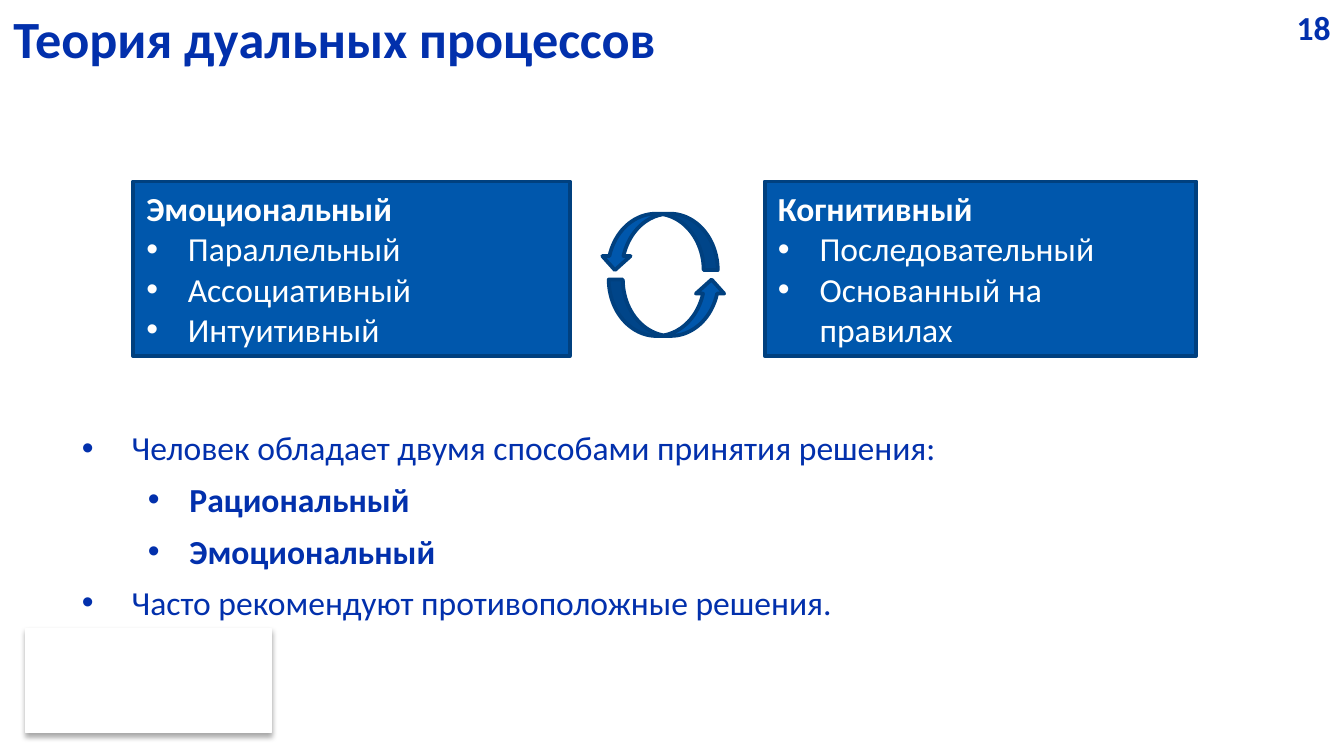
from lxml import etree
from pptx import Presentation
from pptx.dml.color import RGBColor
from pptx.enum import shapes, text
from pptx.oxml import ns, parse_xml
from pptx.util import Inches, Pt

COLORS = {"ink": "0230AC", "panel": "0057AC", "edge": "00407F", "white": "FFFFFF"}
FONT = "Calibri"


def rgb(name):
    return RGBColor.from_string(COLORS[name])


def place(shape, left, top, width, height):
    shape.left, shape.top = Inches(left), Inches(top)
    shape.width, shape.height = Inches(width), Inches(height)


def add_bullet(para, margin, hanging):
    """Give a paragraph a round bullet and a hanging indent in inches."""
    props = para._p.get_or_add_pPr()
    props.set("marL", str(Inches(margin)))
    props.set("indent", str(-Inches(hanging)))
    etree.SubElement(props, ns.qn("a:buFont")).set("typeface", "Arial")
    etree.SubElement(props, ns.qn("a:buChar")).set("char", "•")


def style(para, color, size=18, bold=False, align=text.PP_ALIGN.LEFT):
    para.alignment = align
    font = para.font
    font.name, font.size, font.bold = FONT, Pt(size), bold
    font.color.rgb = rgb(color)


def open_frame(shape):
    """Return the shape's text frame, top-anchored, wrapped and unscaled."""
    frame = shape.text_frame
    frame.word_wrap = True
    frame.auto_size = text.MSO_AUTO_SIZE.NONE
    frame.vertical_anchor = text.MSO_ANCHOR.TOP
    return frame


def add_filled(page, kind, box, fill, line, line_width):
    shape = page.shapes.add_shape(kind, *(Inches(length) for length in box))
    shape.shadow.inherit = False
    shape.fill.solid()
    shape.fill.fore_color.rgb = rgb(fill)
    shape.line.color.rgb = rgb(line)
    shape.line.width = Pt(line_width)
    return shape


def add_corner_card(page, box):
    """Put a white card with a soft shadow behind everything else."""
    card = add_filled(page, shapes.MSO_SHAPE.RECTANGLE, box, "white", "white", 0.75)
    effects = card._element.spPr.find(ns.qn("a:effectLst"))
    effects.append(parse_xml(
        f'<a:outerShdw {ns.nsdecls("a")} blurRad="{Pt(3.1)}" dist="{Pt(1.8)}" '
        'dir="5400000" rotWithShape="0"><a:srgbClr val="000000">'
        '<a:alpha val="35000"/></a:srgbClr></a:outerShdw>'))
    page.shapes._spTree.insert(2, card._element)


def fill_title(page, title, box):
    place(page.shapes.title, *box)
    frame = open_frame(page.shapes.title)
    frame.text = title
    style(frame.paragraphs[0], "ink", 28, bold=True)


def add_page_number(page, number, box):
    label = page.shapes.add_textbox(*(Inches(length) for length in box))
    frame = open_frame(label)
    frame.text = number
    style(frame.paragraphs[0], "ink", bold=True, align=text.PP_ALIGN.RIGHT)


def fill_body(page, items, box):
    body = page.placeholders[1]
    place(body, *box)
    frame = open_frame(body)
    frame.text = "\n".join(words for words, _ in items)
    for index, (para, (_, level)) in enumerate(zip(frame.paragraphs, items)):
        para.level = level
        add_bullet(para, *((0.81, 0.31) if level else (0.38, 0.37)))
        para.space_before = Pt(6 if index else 0)
        style(para, "ink", bold=level == 1)


def add_panel(page, heading, traits, box):
    panel = add_filled(page, shapes.MSO_SHAPE.RECTANGLE, box, "panel", "edge", 2)
    frame = open_frame(panel)
    frame.margin_right = Inches(0.2)
    frame.text = "\n".join([heading, *traits])
    for index, para in enumerate(frame.paragraphs):
        if index:
            add_bullet(para, 0.31, 0.31)
        style(para, "white", bold=index == 0)


def add_cycle(page, box):
    """Draw two opposite curved arrows, in the box's corners."""
    left, top, width, height = box
    arrow_width, arrow_height = 0.87, 0.42
    corners = [(left + width - arrow_width, top + height - arrow_height, 0),
               (left, top, 180)]
    for x, y, turn in corners:
        arrow = add_filled(page, shapes.MSO_SHAPE.CURVED_UP_ARROW,
                           (x, y, arrow_width, arrow_height), "panel", "edge", 2)
        arrow.rotation = turn


def main():
    deck = Presentation()
    deck.slide_width = Inches(10)
    deck.slide_height = deck.slide_width * 9 // 16
    page = deck.slides.add_slide(deck.slide_layouts[1])

    add_corner_card(page, (0.19, 4.68, 1.83, 0.77))
    fill_title(page, "Теория дуальных процессов", (0, 0, 7.29, 0.53))
    add_page_number(page, "18", (9.41, 0, 0.59, 0.4))
    fill_body(page, [
        ("Человек обладает двумя способами принятия решения:", 0),
        ("Рациональный", 1),
        ("Эмоциональный", 1),
        ("Часто рекомендуют противоположные решения.", 0),
    ], (0.5, 3.13, 8.82, 1.74))
    add_panel(page, "Эмоциональный",
              ["Параллельный", "Ассоциативный", "Интуитивный"],
              (0.99, 1.35, 3.25, 1.3))
    add_panel(page, "Когнитивный",
              ["Последовательный", "Основанный на правилах"],
              (5.69, 1.35, 3.21, 1.3))
    add_cycle(page, (4.47, 1.59, 0.93, 0.91))
    deck.save("out.pptx")


if __name__ == "__main__":
    main()
